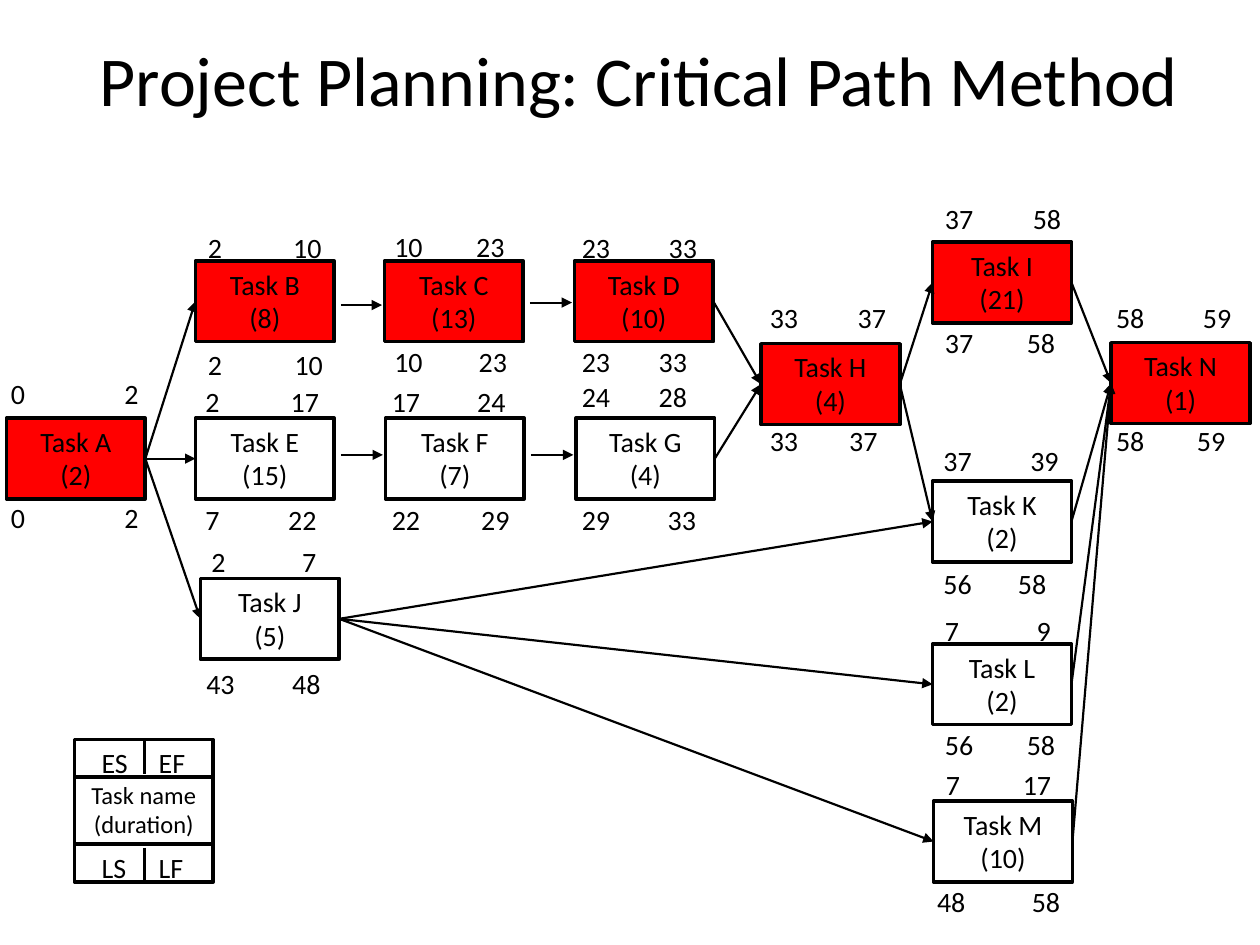
from lxml import etree
from pptx import Presentation
from pptx.dml.color import RGBColor
from pptx.enum.shapes import MSO_CONNECTOR as CONN, MSO_SHAPE as SHAPE
from pptx.enum.text import MSO_ANCHOR as ANCHOR, MSO_AUTO_SIZE as AUTO, PP_ALIGN as ALIGN
from pptx.oxml.ns import qn
from pptx.util import Cm, Pt

TITLE = "Project Planning: Critical Path Method"
FONT, BLACK, WHITE, RED = "Calibri", "000000", "FFFFFF", "FF0000"
BOX_W, BOX_H = 2.8, 1.63
CRITICAL = "ABCDHIN"

# name: duration, box (x, y), label rows (y, (early or late start, x), (finish, x))
TASKS = {
    "A": (2, (0.13, 8.43), (7.47, (0, -0.03), (2, 2.26)), (9.96, (0, -0.03), (2, 2.26))),
    "B": (8, (3.94, 5.26), (4.52, (2, 3.94), (10, 5.66)), (6.88, (2, 3.94), (10, 5.69))),
    "C": (13, (7.75, 5.26), (4.5, (10, 7.7), (23, 9.35)), (6.83, (10, 7.7), (23, 9.4))),
    "D": (10, (11.58, 5.26), (4.52, (23, 11.48), (33, 13.23)), (6.83, (23, 11.48), (33, 13.03))),
    "E": (15, (3.94, 8.43), (7.62, (2, 3.89), (17, 5.61)), (10.01, (7, 3.89), (22, 5.56))),
    "F": (7, (7.77, 8.43), (7.62, (17, 7.65), (24, 9.37)), (10.01, (22, 7.65), (29, 9.45))),
    "G": (4, (11.61, 8.43), (7.52, (24, 11.48), (28, 13.03)), (10.01, (29, 11.48), (33, 13.21))),
    "H": (4, (15.34, 6.93), (5.94, (33, 15.27), (37, 17.04)), (8.41, (33, 15.27), (37, 16.87))),
    "I": (21, (18.8, 4.88), (3.94, (37, 18.8), (58, 20.57)), (6.43, (37, 18.8), (58, 20.45))),
    "J": (5, (4.04, 11.66), (10.85, (2, 4.01), (7, 5.84)), (13.31, (43, 3.91), (48, 5.64))),
    "K": (2, (18.8, 9.7), (8.81, (37, 18.77), (39, 20.52)), (11.3, (56, 18.77), (58, 20.27))),
    "L": (2, (18.8, 12.98), (12.24, (7, 18.8), (9, 20.65)), (14.55, (56, 18.8), (58, 20.45))),
    "M": (10, (18.82, 16.15), (15.34, (7, 18.82), (17, 20.37)), (17.7, (48, 18.64), (58, 20.55))),
    "N": (1, (22.4, 6.91), (5.94, (58, 22.25), (59, 24)), (8.41, (58, 22.25), (59, 23.88))),
}
LINKS = ["AB", "AE", "AJ", "DH", "GH", "JK", "JL", "JM", "HI", "HK", "IN", "KN", "LN", "MN"]
SHORT_LINKS = {"BC": 6.15, "CD": 6.1, "EF": 9.17, "FG": 9.17}
LINK_GAP = 0.13
LEGEND_X, LEGEND_ROW_H, LEGEND_MID = 1.5, 0.76, 2.92
LEGEND_ROWS = [("ES\tEF", 14.91, 14.91), ("LS\tLF", 17.02, 17.09)]


def color(value):
    return RGBColor.from_string(value)


def style(tf, text, size, align=ALIGN.LEFT):
    tf.text = text
    for p in tf.paragraphs:
        p.alignment = align
        for r in p.runs:
            r.font.name, r.font.size = FONT, Pt(size)
            r.font.color.rgb = color(BLACK)


def box(x, y, h, text, fill=WHITE, size=16, align=ALIGN.CENTER):
    s = slide.shapes.add_shape(SHAPE.RECTANGLE, Cm(x), Cm(y), Cm(BOX_W), Cm(h))
    s.shadow.inherit = False
    s.fill.solid()
    s.fill.fore_color.rgb = color(fill)
    s.line.color.rgb = color(BLACK)
    s.line.width = Pt(2)
    s.text_frame.vertical_anchor = ANCHOR.TOP
    style(s.text_frame, text, size, align)
    return s


def line(x1, y1, x2, y2, width=1.25, arrow=True):
    c = slide.shapes.add_connector(CONN.STRAIGHT, Cm(x1), Cm(y1), Cm(x2), Cm(y2))
    c.line.color.rgb = color(BLACK)
    c.line.width = Pt(width)
    if arrow:
        etree.SubElement(c.line._get_or_add_ln(), qn("a:tailEnd"), type="triangle")
    etree.SubElement(c._element.spPr, qn("a:effectLst"))
    return c


def label(x, y, value):
    width = 0.71 if value < 10 else 1.35
    tb = slide.shapes.add_textbox(Cm(x), Cm(y), Cm(width), Cm(0.93))
    tb.text_frame.word_wrap = True
    tb.text_frame.auto_size = AUTO.SHAPE_TO_FIT_TEXT
    style(tb.text_frame, str(value), 16)


prs = Presentation()
prs.slide_width, prs.slide_height = Cm(25.4), Cm(19.05)
slide = prs.slides.add_slide(prs.slide_layouts[5])

title = slide.shapes.title
title.left, title.top, title.width, title.height = Cm(0.84), Cm(0), Cm(24.08), Cm(3.18)
title.text_frame.vertical_anchor = ANCHOR.MIDDLE
style(title.text_frame, TITLE, 40, ALIGN.CENTER)

boxes = {}
for name, (duration, (x, y), *_) in TASKS.items():
    fill = RED if name in CRITICAL else WHITE
    boxes[name] = box(x, y, BOX_H, f"Task {name}\n({duration})", fill)

for start, end in LINKS:
    c = line(0, 0, 1, 1)
    c.begin_connect(boxes[start], 3)
    c.end_connect(boxes[end], 1)

for (start, end), y in SHORT_LINKS.items():
    line(TASKS[start][1][0] + BOX_W + LINK_GAP, y, TASKS[end][1][0] - 0.05, y)

for _, _, *rows in TASKS.values():
    for y, *values in rows:
        for value, x in values:
            label(x, y, value)

box(LEGEND_X, 15.6, 1.45, "Task name\n(duration)", size=14)
for text, y, divider_y in LEGEND_ROWS:
    s = box(LEGEND_X, y, LEGEND_ROW_H, text, align=ALIGN.LEFT)
    s.text_frame.margin_left = Cm(0.55)
    pPr = s.text_frame.paragraphs[0]._p.get_or_add_pPr()
    tabs = etree.SubElement(pPr, qn("a:tabLst"))
    etree.SubElement(tabs, qn("a:tab"), pos=str(Cm(1.15)), algn="l")
    line(LEGEND_MID, divider_y, LEGEND_MID, divider_y + 0.69, 1.75, False)

prs.save("out.pptx")
